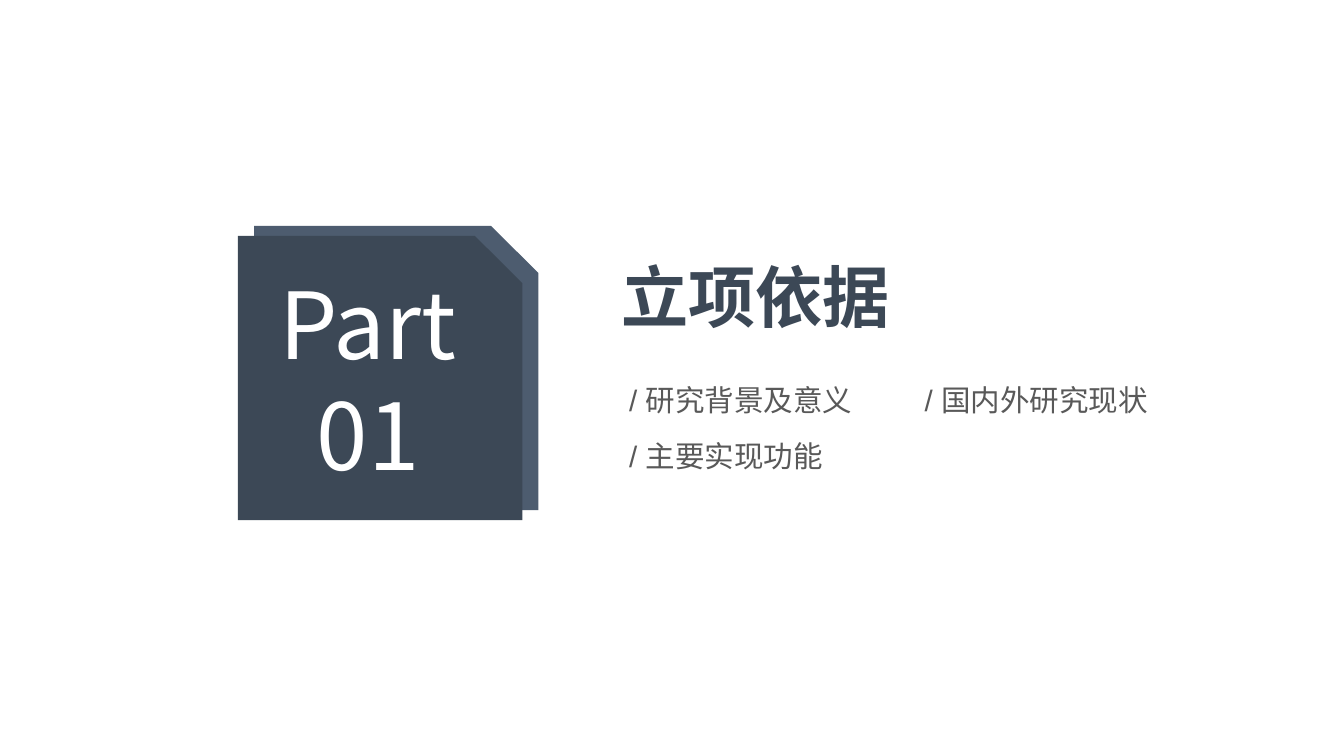
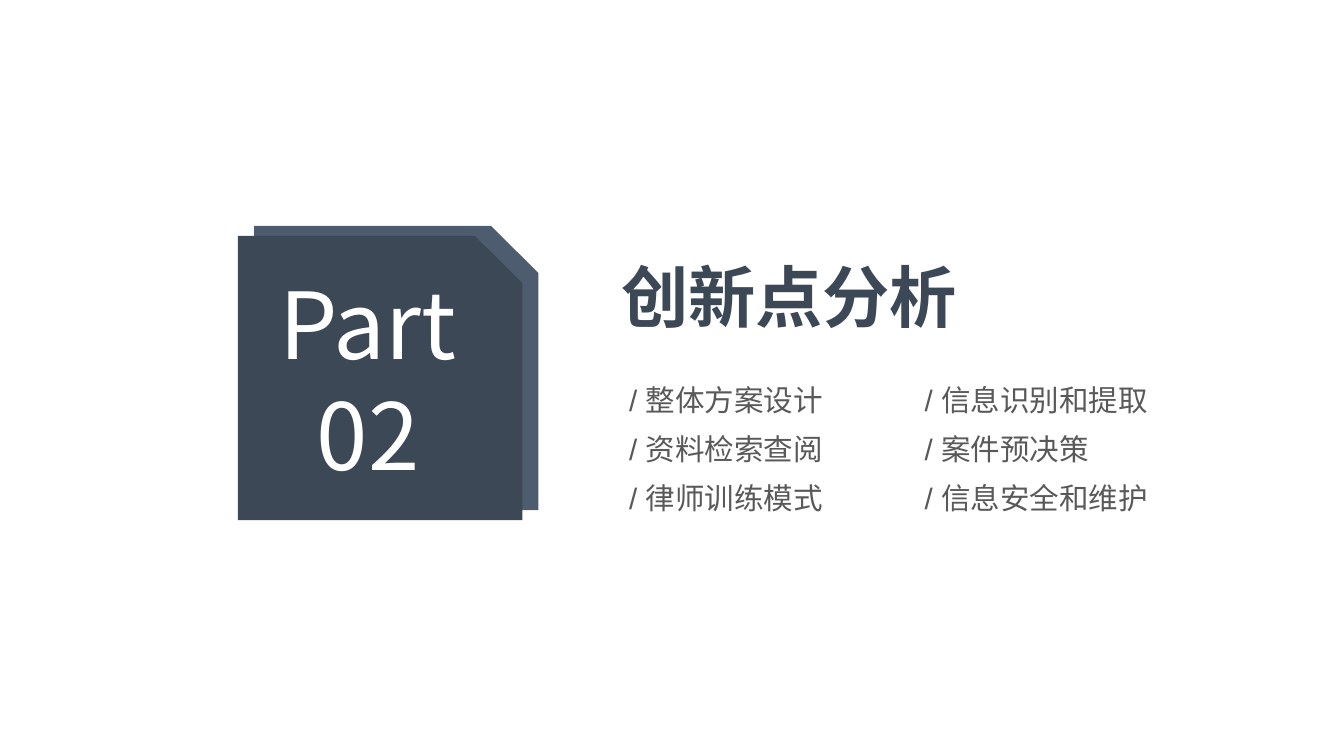
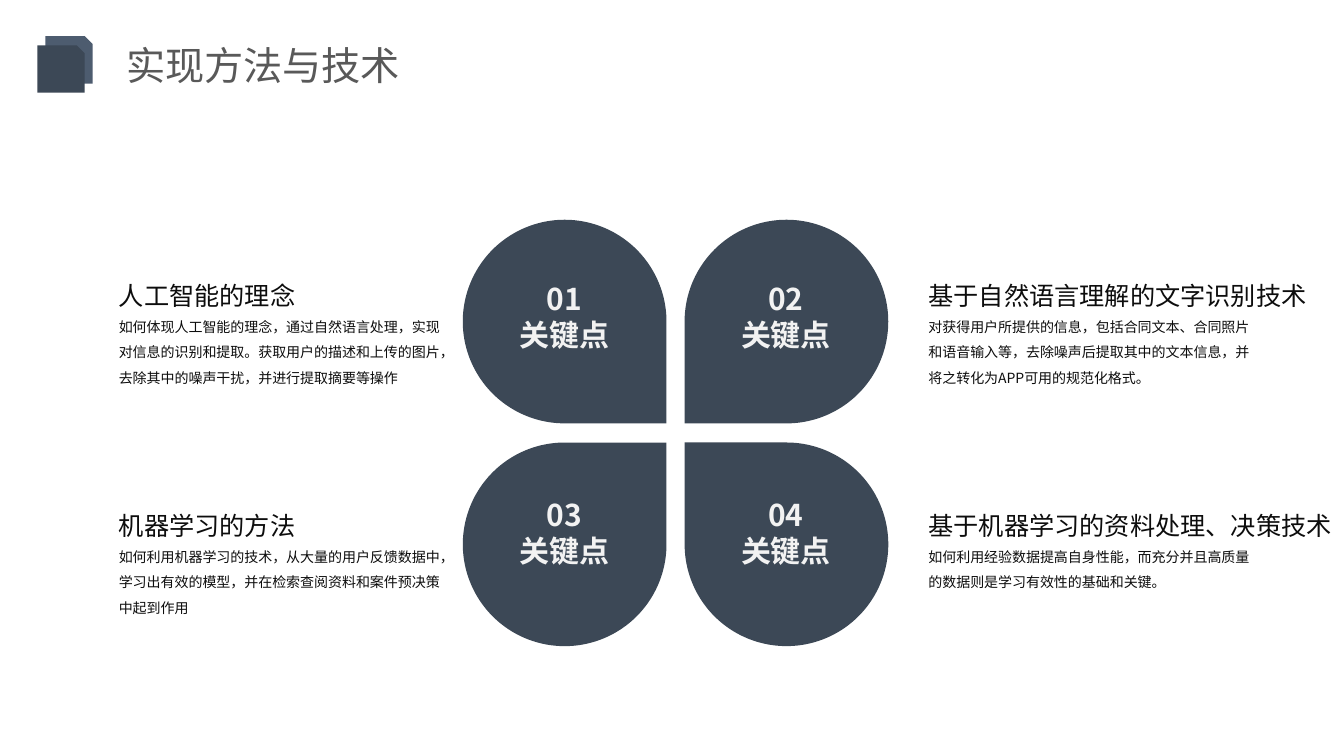
from lxml.etree import SubElement
from pptx import Presentation
from pptx.dml.color import RGBColor
from pptx.enum.shapes import MSO_SHAPE as Shape
from pptx.enum.text import MSO_ANCHOR as Anchor, MSO_AUTO_SIZE as AutoSize, PP_ALIGN as Align
from pptx.oxml.ns import qn
from pptx.util import Pt

PX = 9144  # 100 px to the inch
TITLE_ONLY, TWO_CONTENT = 5, 3


def emu(*lengths):
    return [length * PX for length in lengths]


def color(code):
    return RGBColor.from_string(code)


class Deck:
    FONT, LATIN = "Noto Sans CJK SC", "Arial"
    NAVY, SLATE = "3C4856", "4D5C6F"
    WHITE, PALE, GREY, INK = "FFFFFF", "F2F2F2", "595959", "0D0D0D"

    def __init__(self):
        self.deck = Presentation()
        self.deck.slide_width, self.deck.slide_height = emu(1333, 750)
        self.page = None

    def add_page(self, layout):
        self.page = self.deck.slides.add_slide(self.deck.slide_layouts[layout])

    def place(self, box, left, top, width, height):
        box.left, box.top, box.width, box.height = emu(left, top, width, height)

    def set_text(self, box, lines, size, tint, font=FONT, bold=False, align=Align.LEFT,
                 anchor=Anchor.TOP, spacing=1.0, gap=0, insets=(10, 5, 10, 5)):
        frame = box.text_frame
        frame.word_wrap = True
        frame.auto_size = AutoSize.NONE
        frame.vertical_anchor = anchor
        (frame.margin_left, frame.margin_top,
         frame.margin_right, frame.margin_bottom) = emu(*insets)
        frame.text = "\n".join(lines)
        for para in frame.paragraphs:
            para.alignment = align
            para.line_spacing = spacing
            para.space_before, para.space_after = Pt(0), Pt(gap)
            para.font.size, para.font.bold = Pt(size), bold
            para.font.color.rgb = color(tint)
            para.font.name = font
            # East Asian typeface
            props = para._p.get_or_add_pPr()
            SubElement(props.find(qn("a:defRPr")), qn("a:ea"), typeface=self.FONT)

    def title(self, text, area, size, tint, **style):
        box = self.page.shapes.title
        self.place(box, *area)
        self.set_text(box, [text], size, tint, **style)

    def bullets(self, column, lines, gap):
        """One list column whose items start with a typed slash."""
        box = self.page.placeholders[column + 1]
        self.place(box, 614 + 293 * column, 363, 263, 160)
        self.set_text(box, [f"/ {line}" for line in lines], 21.1, self.GREY,
                      font=self.LATIN, spacing=1.3, gap=gap)
        for para in box.text_frame.paragraphs:
            props = para._p.get_or_add_pPr()
            props.set("marL", "0")
            props.set("indent", "0")
            props.insert_element_before(
                props.makeelement(qn("a:buNone")), "a:tabLst", "a:defRPr", "a:extLst")

    def text(self, lines, area, size, tint, **style):
        self.set_text(self.page.shapes.add_textbox(*emu(*area)), lines, size, tint, **style)

    def shape(self, kind, left, top, side, fill):
        shape = self.page.shapes.add_shape(kind, *emu(left, top, side, side))
        shape.shadow.inherit = False
        shape.fill.solid()
        shape.fill.fore_color.rgb = color(fill)
        shape.line.fill.background()
        return shape

    def badge(self, left, top, side, shift_x, shift_y):
        """Two stacked cards with a cut corner; returns the front one."""
        self.shape(Shape.SNIP_1_RECTANGLE, left + shift_x, top - shift_y, side, self.SLATE)
        return self.shape(Shape.SNIP_1_RECTANGLE, left, top, side, self.NAVY)

    def section(self, number, title, columns, gap):
        self.add_page(TWO_CONTENT)
        card = self.badge(236, 234, 282, 16, 10)
        self.set_text(card, ["Part", number], 66, self.WHITE, align=Align.CENTER,
                      anchor=Anchor.MIDDLE, insets=(10, 0, 10, 24))
        self.title(title, (606, 248, 558, 91), 48, self.NAVY, bold=True)
        for column, lines in enumerate(columns):
            self.bullets(column, lines, gap)

    def petal(self, number, column, row, turn):
        left, top = 459 + 220 * column, 218 + 221 * row
        self.shape(Shape.TEAR, left, top, 202, self.NAVY).rotation = turn
        self.text([number, "关键点"], (left + 6, top + 53 - 6 * row, 189, 85), 21.4,
                  self.PALE, bold=True, align=Align.CENTER, insets=(13, 7, 13, 7))

    def caption(self, column, row, heading, detail):
        left, top = 108 + 803 * column, 258 + 228 * row
        self.text([heading], (left, top, 422, 50), 18, self.INK, spacing=1.5,
                  insets=(10, 5, 0, 5))
        self.text([detail], (left, top + 45, 340, 86), 10, self.INK, spacing=1.5)


def main():
    deck = Deck()

    # Section pages
    deck.section("01", "立项依据",
                 [["研究背景及意义", "主要实现功能"], ["国内外研究现状"]], gap=7.4)
    deck.section("02", "创新点分析",
                 [["整体方案设计", "资料检索查阅", "律师训练模式"],
                  ["信息识别和提取", "案件预决策", "信息安全和维护"]], gap=2.4)

    # Four key points
    deck.add_page(TITLE_ONLY)
    deck.title("实现方法与技术", (115, 28, 548, 72), 28, deck.GREY, anchor=Anchor.MIDDLE)
    deck.badge(37, 45, 47, 8, 9)
    points = [
        (90, "人工智能的理念",
         "如何体现人工智能的理念，通过自然语言处理，实现对信息的识别和提取。"
         "获取用户的描述和上传的图片，去除其中的噪声干扰，并进行提取摘要等操作"),
        (180, "基于自然语言理解的文字识别技术",
         "对获得用户所提供的信息，包括合同文本、合同照片和语音输入等，"
         "去除噪声后提取其中的文本信息，并将之转化为APP可用的规范化格式。"),
        (0, "机器学习的方法",
         "如何利用机器学习的技术，从大量的用户反馈数据中，学习出有效的模型，"
         "并在检索查阅资料和案件预决策中起到作用"),
        (270, "基于机器学习的资料处理、决策技术",
         "如何利用经验数据提高自身性能，而充分并且高质量的数据则是学习有效性的基础和关键。"),
    ]
    for index, (turn, heading, detail) in enumerate(points):
        row, column = divmod(index, 2)
        deck.petal(f"{index + 1:02}", column, row, turn)
        deck.caption(column, row, heading, detail)

    deck.deck.save("out.pptx")


if __name__ == "__main__":
    main()
